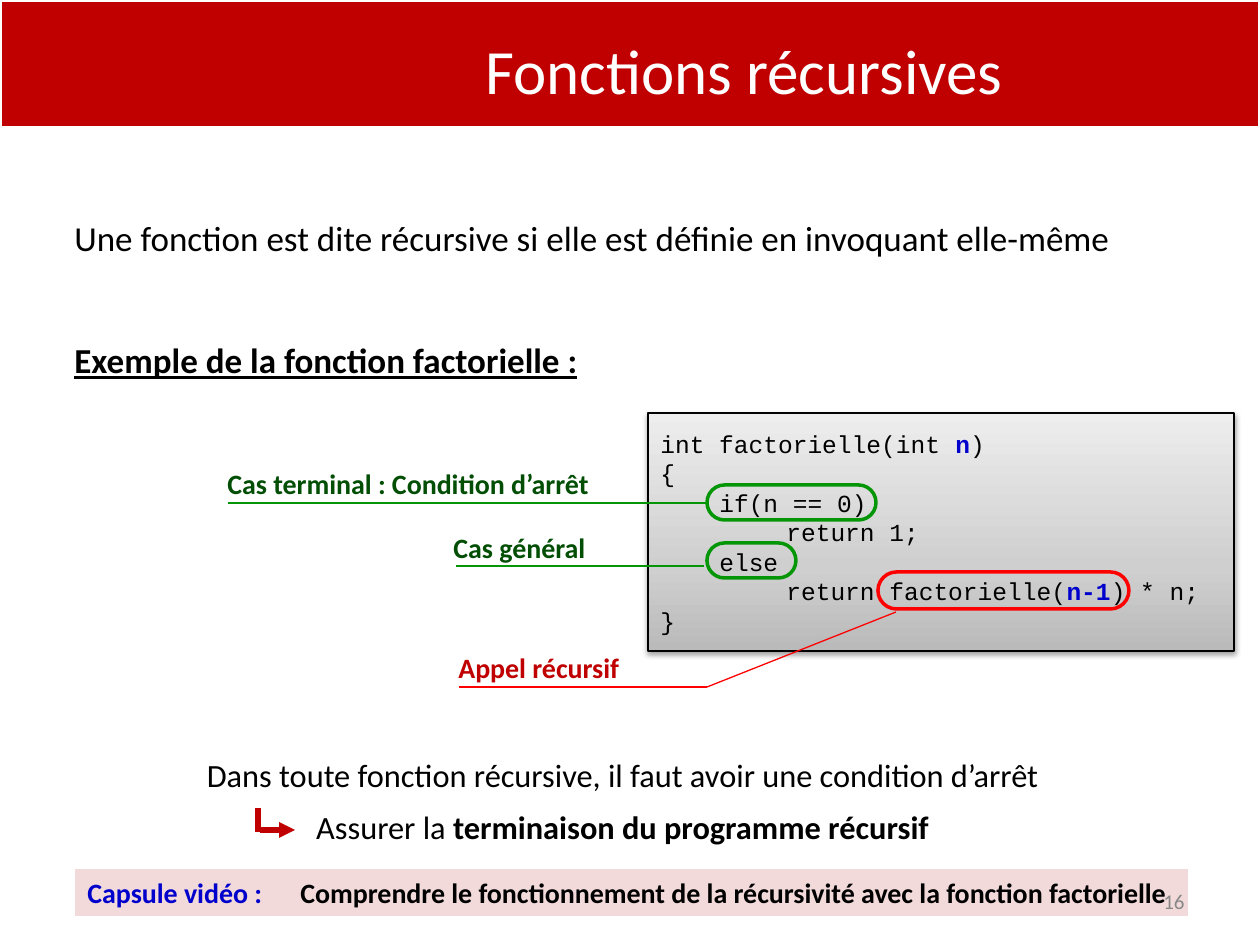
from copy import deepcopy
from dataclasses import dataclass

from lxml import etree
from pptx import Presentation
from pptx import util as u
from pptx.dml.color import RGBColor
from pptx.enum import shapes, text
from pptx.oxml import parse_xml
from pptx.oxml.ns import nsdecls, qn


@dataclass(frozen=True)
class Theme:
    font: str = "Calibri"
    mono: str = "Courier New"
    black: str = "000000"
    white: str = "FFFFFF"
    banner: str = "C00000"
    blue: str = "0000CC"
    pink: str = "F2DADA"
    grey: str = "888888"
    green: str = "049607"
    dark_green: str = "024E04"
    red: str = "FF0000"
    code_grey: tuple = ((0, "BABABA"), (0.35, "CFCFCF"), (1, "EDEDED"))
    title: float = 36
    body: float = 20
    rule: float = 18.5
    label: float = 16
    code: float = 14
    number: float = 12


T = Theme()
ALIGN = text.PP_ALIGN
BOLD = {"bold": True}
KEY = {"bold": True, "color": T.blue}

TITLE = [[("Fonctions récursives", {})]]
DEFINITION = [
    [("Une fonction est dite récursive si elle est définie en invoquant elle-même", {})],
    [("Exemple de la fonction factorielle :", {"bold": True, "underline": True})],
]
CODE = [
    (0, [("int factorielle(int ", {}), ("n", KEY), (")", {})]),
    (0, [("{", {})]),
    (59, [("if(n == 0)", {})]),
    (126, [("return 1;", {})]),
    (59, [("else", {})]),
    (126, [("return factorielle(", {}), ("n-1", KEY), (") * n;", {})]),
    (0, [("}", {})]),
]
LABELS = [
    ("Cas terminal : Condition d’arrêt", (215, 460, 392, 47), T.dark_green),
    ("Cas général", (441, 524, 159, 47), T.dark_green),
    ("Appel récursif", (446, 644, 189, 47), T.banner),
]
OUTLINES = [
    ((878, 572, 251, 37), T.red),
    ((707, 485, 169, 35), T.green),
    ((707, 543, 89, 35), T.green),
]
LEADERS = [
    ((707, 687), (459, 687), T.red),
    ((896, 612), (707, 687), T.red),
    ((709, 503), (228, 503), T.green),
    ((704, 566), (456, 566), T.green),
]
CONCLUSION = [
    [("Dans toute fonction récursive, il faut avoir une condition d’arrêt", {})],
    [("Assurer la ", {}), ("terminaison du programme récursif", BOLD)],
]
VIDEO = [[
    ("Capsule vidéo :\t", KEY),
    ("Comprendre le fonctionnement de la récursivité avec la fonction factorielle", BOLD),
]]
VIDEO_TAB = 213


def px(n):
    return round(n * 914400 / 126)


def write(shape, paragraphs, size, color=T.black, font=T.font, align=ALIGN.LEFT,
          anchor=text.MSO_ANCHOR.TOP):
    frame = shape.text_frame
    frame.word_wrap = True
    frame.vertical_anchor = anchor
    for i, pieces in enumerate(paragraphs):
        para = frame.add_paragraph() if i else frame.paragraphs[0]
        para.alignment = align
        for words, style in pieces:
            run = para.add_run()
            run.text = words
            run.font.name = font
            run.font.size = u.Pt(size)
            run.font.color.rgb = RGBColor.from_string(style.get("color", color))
            run.font.bold = style.get("bold", False)
            run.font.underline = style.get("underline", False)
    return frame.paragraphs


def add_text(slide, box, *args, **options):
    return write(slide.shapes.add_textbox(*map(px, box)), *args, **options)


def add_box(slide, box, fill=None, line=None, width=2, kind=shapes.MSO_SHAPE.RECTANGLE):
    shape = slide.shapes.add_shape(kind, *map(px, box))
    shape.shadow.inherit = False
    if fill:
        shape.fill.solid()
        shape.fill.fore_color.rgb = RGBColor.from_string(fill)
    else:
        shape.fill.background()
    if line:
        shape.line.color.rgb = RGBColor.from_string(line)
        shape.line.width = u.Pt(width)
    else:
        shape.line.fill.background()
    return shape


def add_line(slide, start, end, color, width=0.75, arrow=False):
    line = slide.shapes.add_connector(shapes.MSO_CONNECTOR.STRAIGHT, *map(px, start + end))
    line.line.color.rgb = RGBColor.from_string(color)
    line.line.width = u.Pt(width)
    if arrow:
        etree.SubElement(line.line._get_or_add_ln(), qn("a:tailEnd"), type="triangle")
    etree.SubElement(line._element.spPr, qn("a:effectLst"))


def add_code(slide):
    panel = add_box(slide, (648, 413, 586, 238), line=T.black, width=0.75)
    panel.fill.gradient()
    panel.fill.gradient_angle = 90
    stop_list = panel._element.spPr.find(".//" + qn("a:gsLst"))
    stop_list.insert(1, deepcopy(stop_list[0]))
    for stop, (position, color) in zip(panel.fill.gradient_stops, T.code_grey):
        stop.position = position
        stop.color.rgb = RGBColor.from_string(color)
    panel._element.spPr.find(qn("a:effectLst")).append(parse_xml(
        f'<a:outerShdw {nsdecls("a")} blurRad="{u.Pt(3.1)}" dist="{u.Pt(1.6)}" '
        f'dir="5400000" rotWithShape="0"><a:srgbClr val="{T.black}">'
        '<a:alpha val="37000"/></a:srgbClr></a:outerShdw>'))
    lines = write(panel, [pieces for _, pieces in CODE], T.code, font=T.mono,
                  anchor=text.MSO_ANCHOR.MIDDLE)
    for para, (indent, _) in zip(lines, CODE):
        props = para._p.get_or_add_pPr()
        props.set("marL", str(px(indent)))
        props.set("indent", "0")


def main():
    deck = Presentation()
    deck.slide_width, deck.slide_height = px(1260), px(945)
    slide = deck.slides.add_slide(deck.slide_layouts[6])

    video = add_box(slide, (75, 869, 1113, 47), T.pink)
    props = write(video, VIDEO, T.label)[0]._p.get_or_add_pPr()
    tabs = etree.SubElement(props, qn("a:tabLst"))
    etree.SubElement(tabs, qn("a:tab"), pos=str(px(VIDEO_TAB)), algn="l")

    definition = add_text(slide, (62, 210, 1183, 200), DEFINITION, T.body)
    definition[1].space_before = u.Pt(46)
    add_text(slide, (903, 876, 294, 50), [[("16", {})]], T.number, T.grey,
             align=ALIGN.RIGHT, anchor=text.MSO_ANCHOR.MIDDLE)

    add_box(slide, (0, 0, 1260, 128), T.banner, T.white)
    add_text(slide, (470, 25, 548, 89), TITLE, T.title, T.white, align=ALIGN.CENTER)

    add_code(slide)
    for box, color in OUTLINES:
        pill = add_box(slide, box, line=color, kind=shapes.MSO_SHAPE.ROUNDED_RECTANGLE)
        pill.adjustments[0] = 0.5
    for words, box, color in LABELS:
        add_text(slide, box, [[(words, BOLD)]], T.label, color)
    for start, end, color in LEADERS:
        add_line(slide, start, end, color)

    conclusion = add_text(slide, (0, 756, 1245, 103), CONCLUSION, T.rule, align=ALIGN.CENTER)
    for para in conclusion:
        para.line_spacing = 0.8
    conclusion[1].space_before = u.Pt(12)
    add_line(slide, (260, 830), (295, 830), T.banner, 3, arrow=True)
    add_line(slide, (258, 808), (258, 832), T.banner, 3)

    deck.save("out.pptx")


if __name__ == "__main__":
    main()
